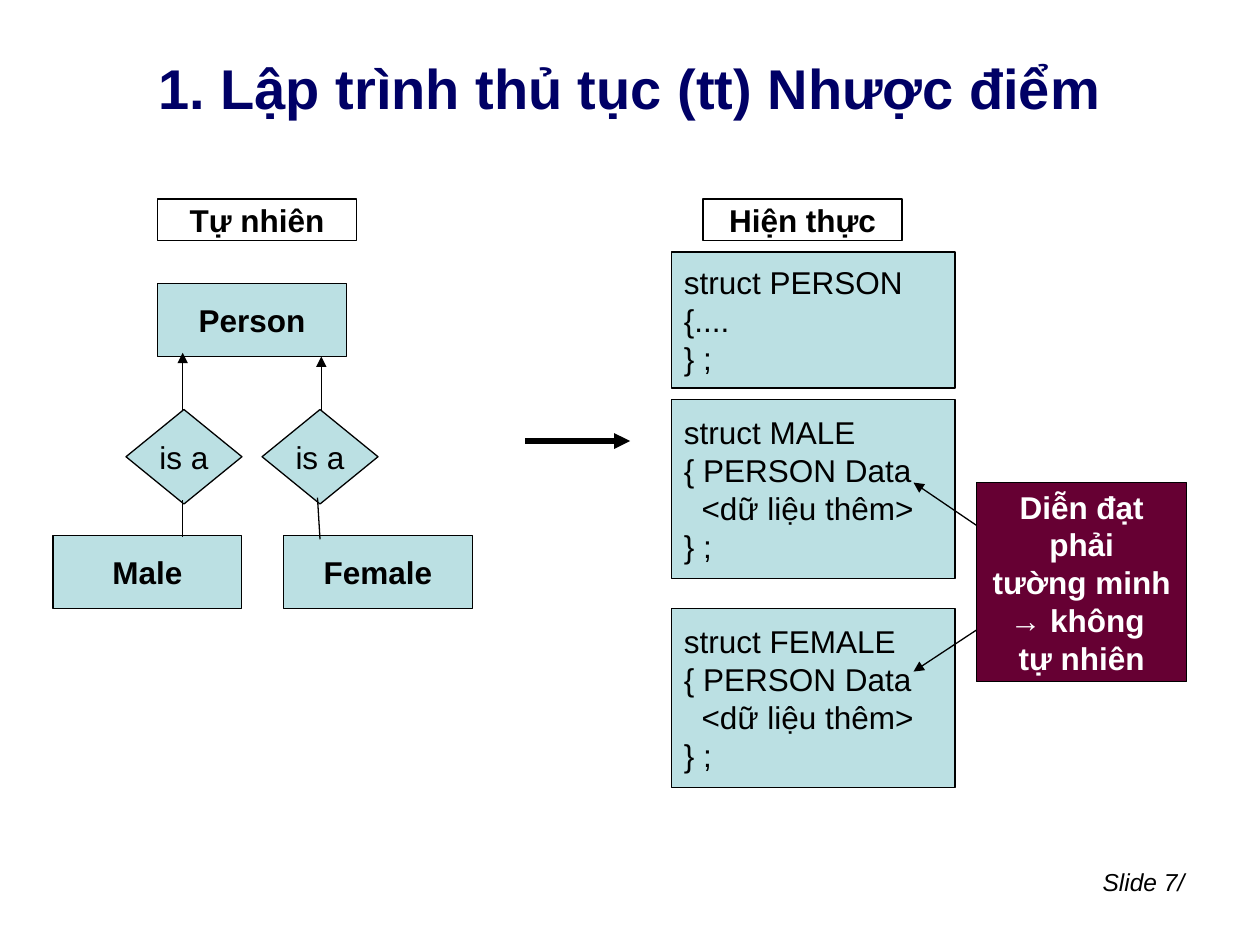
from dataclasses import dataclass
from pptx import Presentation
from pptx.dml.color import RGBColor as Rgb
from pptx.enum.shapes import MSO_CONNECTOR as Link, MSO_SHAPE as Kind
from pptx.enum.text import MSO_ANCHOR as Anchor, PP_ALIGN as Align
from pptx.oxml.ns import qn
from pptx.util import Inches as In, Pt
from lxml.etree import SubElement as Sub


@dataclass(frozen=True)
class Theme:
    face: str = "Arial"
    ink: str = "000000"
    navy: str = "000066"
    sky: str = "BBE0E3"
    wine: str = "660033"
    white: str = "FFFFFF"
    head: int = 32
    body: int = 18
    foot: int = 14
    thin: float = 0.75
    thick: float = 3


class Deck:
    def __init__(self, theme, slide):
        self.theme = theme
        self.slide = slide

    def words(self, shape, text, size=None, color=None, align=Align.CENTER,
              anchor=Anchor.MIDDLE, wrap=False, **form):
        t = self.theme
        frame = shape.text_frame
        look = dict(word_wrap=wrap, vertical_anchor=anchor,
                    margin_left=In(0.1), margin_right=In(0.1),
                    margin_top=In(0.05), margin_bottom=In(0.05))
        for key, val in look.items():
            setattr(frame, key, val)
        font = dict(name=t.face, size=Pt(size or t.body), **form)
        for i, line in enumerate(text.split("\n")):
            para = frame.add_paragraph() if i else frame.paragraphs[0]
            para.alignment = align
            if line.startswith("\t"):
                para._p.get_or_add_pPr().set("marL", str(In(0.14)))
            run = para.add_run()
            run.text = line.lstrip("\t")
            for key, val in font.items():
                setattr(run.font, key, val)
            run.font.color.rgb = Rgb.from_string(color or t.ink)

    def label(self, area, text, **form):
        box = self.slide.shapes.add_textbox(*map(In, area))
        self.words(box, text, wrap=True, **form)

    def box(self, area, text, fill=None, kind=Kind.RECTANGLE, **form):
        shape = self.slide.shapes.add_shape(kind, *map(In, area))
        shape.shadow.inherit = False
        if fill:
            shape.fill.solid()
            shape.fill.fore_color.rgb = Rgb.from_string(fill)
        else:
            shape.fill.background()
        self.stroke(shape.line, self.theme.thin)
        self.words(shape, text, **form)

    def stroke(self, line, width):
        line.color.rgb = Rgb.from_string(self.theme.ink)
        line.width = Pt(width)

    def link(self, start, end, width=None, arrow=True):
        line = self.slide.shapes.add_connector(
            Link.STRAIGHT, *map(In, start + end))
        self.stroke(line.line, width or self.theme.thin)
        props = line._element.spPr
        if arrow:
            Sub(props.find(qn("a:ln")), qn("a:tailEnd"), type="triangle")
        Sub(props, qn("a:effectLst"))


def main():
    show = Presentation()
    show.slide_width, show.slide_height = In(10), In(7.5)
    t = Theme()
    deck = Deck(t, show.slides.add_slide(show.slide_layouts[6]))

    deck.label((7.17, 6.83, 2.33, 0.52), "Slide 7/", size=t.foot,
               align=Align.RIGHT, anchor=Anchor.TOP, italic=True)
    deck.label((0.5, 0.3, 9, 0.78), "1. Lập trình thủ tục (tt) Nhược điểm",
               size=t.head, color=t.navy, bold=True)

    for x, text in ((1.25, "Tự nhiên"), (5.58, "Hiện thực")):
        deck.box((x, 1.58, 1.58, 0.33), text, bold=True)

    for x, y, text in ((1.25, 2.25, "Person"), (0.42, 4.25, "Male"),
                       (2.25, 4.25, "Female")):
        deck.box((x, y, 1.5, 0.58), text, t.sky, bold=True)
    for x in (1, 2.08):
        deck.box((x, 3.25, 0.92, 0.75), "is a", t.sky, Kind.DIAMOND)

    deck.link((1.45, 3.26), (1.45, 2.8))
    deck.link((2.55, 3.26), (2.55, 2.83))
    deck.link((1.45, 4.26), (1.45, 3.97), arrow=False)
    deck.link((2.54, 4.28), (2.52, 3.95), arrow=False)

    more = "{ PERSON Data\n\t<dữ liệu thêm>"
    for y, high, name, data in ((2, 1.08, "PERSON", "{...."),
                                (3.17, 1.42, "MALE", more),
                                (4.83, 1.42, "FEMALE", more)):
        deck.box((5.33, y, 2.25, high), f"struct {name}\n{data}\n}} ;",
                 t.sky, align=Align.LEFT)

    deck.box((7.75, 3.83, 1.67, 1.58),
             "Diễn đạt\nphải\ntường minh\n→ không \ntự nhiên",
             t.wine, color=t.white, bold=True)
    deck.link((7.75, 4.17), (7.25, 3.83))
    deck.link((7.75, 5), (7.25, 5.33))
    deck.link((4.17, 3.5), (5, 3.5), t.thick)

    show.save("out.pptx")


if __name__ == "__main__":
    main()
